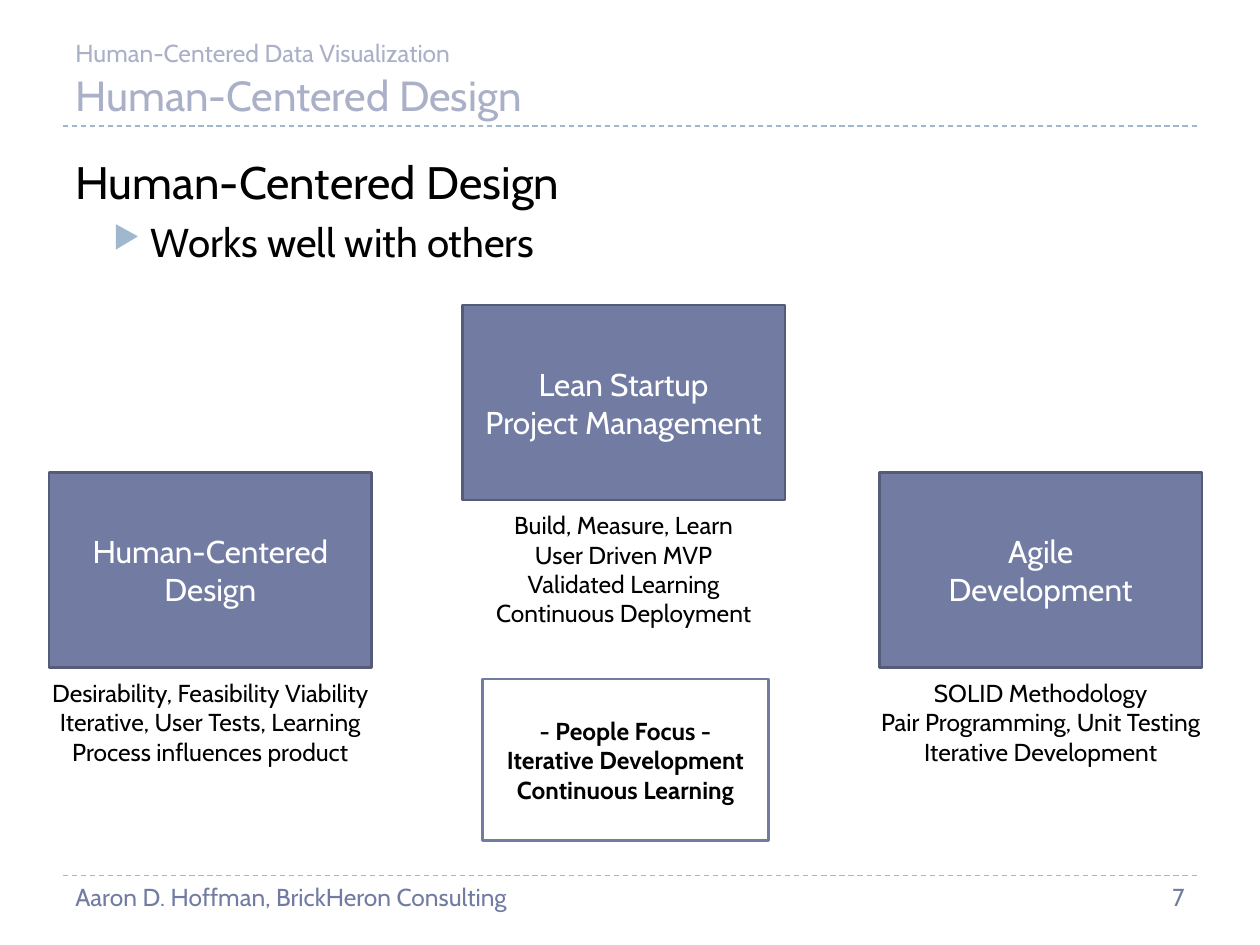
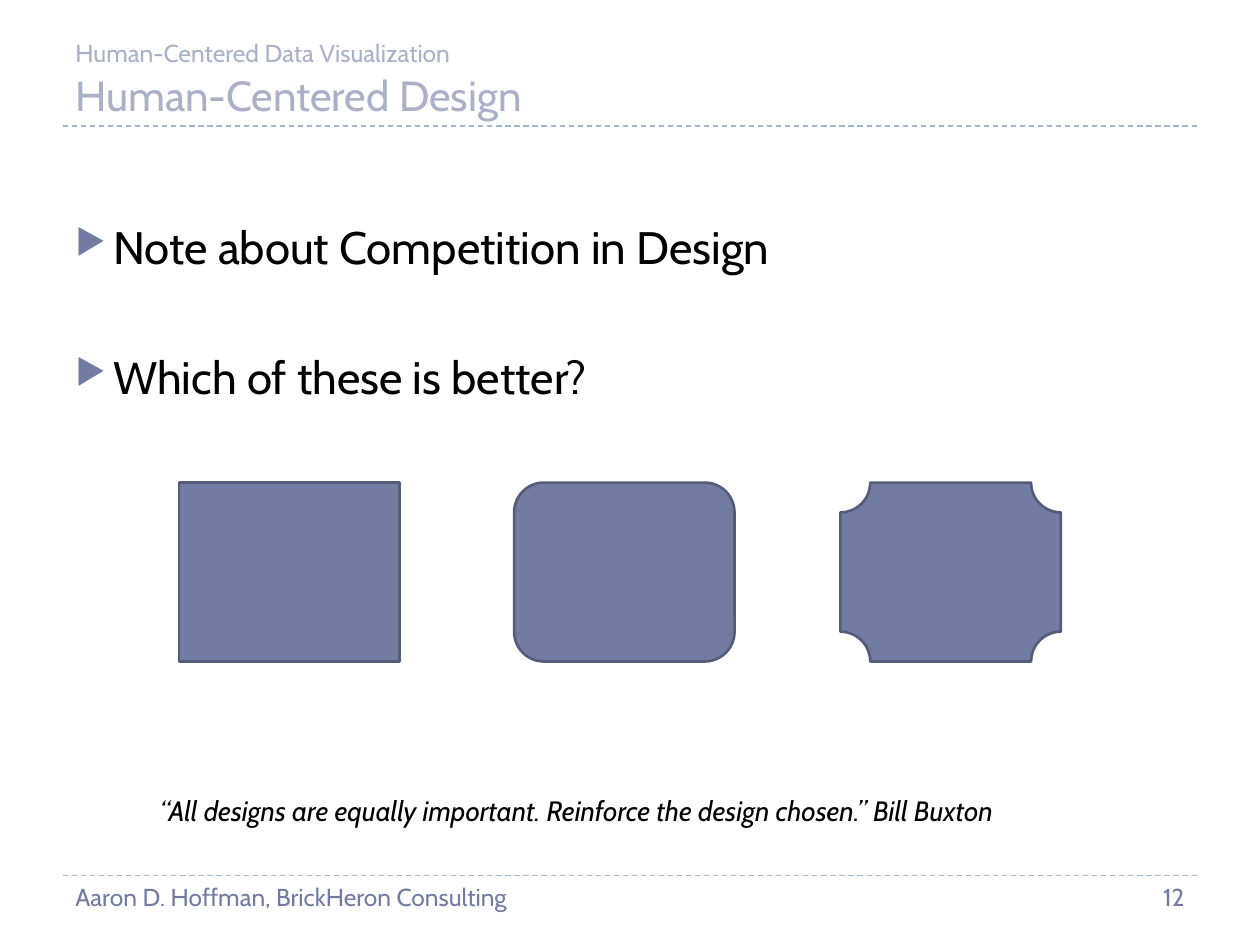
from dataclasses import dataclass

from lxml import etree
from pptx import Presentation
from pptx.dml.color import RGBColor
from pptx.enum.dml import MSO_LINE
from pptx.enum.shapes import MSO_CONNECTOR, MSO_SHAPE
from pptx.enum.text import MSO_ANCHOR, PP_ALIGN
from pptx.oxml.ns import qn
from pptx.util import Inches, Pt

LEFT, CENTER, RIGHT = PP_ALIGN.LEFT, PP_ALIGN.CENTER, PP_ALIGN.RIGHT
TOP, MIDDLE, BOTTOM = MSO_ANCHOR.TOP, MSO_ANCHOR.MIDDLE, MSO_ANCHOR.BOTTOM
RECTANGLE, ROUNDED, PLAQUE = MSO_SHAPE.RECTANGLE, MSO_SHAPE.ROUNDED_RECTANGLE, MSO_SHAPE.PLAQUE
STRAIGHT, DASH = MSO_CONNECTOR.STRAIGHT, MSO_LINE.DASH

FONT = "Cabin"
ACCENT, EDGE, RULE, HEADING = "727CA3", "545C79", "9FB8CD", "AAB0C8"
BLACK, WHITE = "000000", "FFFFFF"

# The slide is a grid of 40 columns by 30 rows of square cells
COLUMNS, ROWS, CELL = 40, 30, 0.25


@dataclass
class Box:
    left: float
    top: float
    width: float
    height: float

    def inner(self, left, top, width, height):
        return Box(self.left + left, self.top + top, width, height)

    def lengths(self):
        return [cells(n) for n in (self.left, self.top, self.width, self.height)]


PAGE = Box(0, 0, COLUMNS, ROWS)
HEADER = PAGE.inner(2, 1, 36, 3)
BODY = PAGE.inner(2, 4.68, 36, 22.28)
FOOTER = PAGE.inner(2, 27.8, 36, 1.6)


def cells(count):
    return Inches(count * CELL)


def color(code):
    return RGBColor.from_string(code)


def add_bullet(para, code, indent):
    """Give the paragraph a hanging triangle bullet; indent is in inches."""
    properties = para._p.get_or_add_pPr()
    properties.set("marL", str(Inches(indent)))
    properties.set("indent", str(Inches(-0.3)))
    bullet_color = etree.SubElement(properties, qn("a:buClr"))
    etree.SubElement(bullet_color, qn("a:srgbClr"), val=code)
    etree.SubElement(properties, qn("a:buSzPct"), val="76000")
    etree.SubElement(properties, qn("a:buChar"), char="▶")


def style(para, size, code, align=LEFT, bold=False, italic=False):
    para.alignment = align
    font = para.font
    font.name, font.size = FONT, Pt(size)
    font.bold, font.italic = bold, italic
    font.color.rgb = color(code)


def write(shape, lines, size, code, anchor=TOP, **look):
    frame = shape.text_frame
    frame.word_wrap = True
    frame.vertical_anchor = anchor
    frame.text = "\n".join(lines)
    for para in frame.paragraphs:
        style(para, size, code, **look)


def add_text(page, box, lines, size, code, **look):
    write(page.shapes.add_textbox(*box.lengths()), lines, size, code, **look)


def add_block(page, box, kind=RECTANGLE, fill=ACCENT, edge=EDGE):
    block = page.shapes.add_shape(kind, *box.lengths())
    block.shadow.inherit = False
    block.fill.solid()
    block.fill.fore_color.rgb = color(fill)
    block.line.color.rgb = color(edge)
    block.line.width = Pt(1.5)
    return block


def add_rule(page, box, row):
    y = cells(box.top + row)
    rule = page.shapes.add_connector(
        STRAIGHT, cells(box.left), y, cells(box.left + box.width), y)
    rule.line.color.rgb = color(RULE)
    rule.line.width = Pt(0.75)
    rule.line.dash_style = DASH
    etree.SubElement(rule._element.spPr, qn("a:effectLst"))


def add_frame(page, number):
    """Header and footer shared by every slide."""
    add_rule(page, FOOTER, 0)
    add_rule(page, HEADER, HEADER.height)
    add_text(page, HEADER.inner(0, 0, 36, 1), ["Human-Centered Data Visualization"], 14, HEADING)
    add_text(page, HEADER.inner(0, 1, 36, 2), ["Human-Centered Design"], 24, HEADING, anchor=BOTTOM)
    add_text(page, FOOTER.inner(0, 0, 25.32, 1.6),
             ["Aaron D. Hoffman, BrickHeron Consulting"], 14, ACCENT)
    add_text(page, FOOTER.inner(33, 0, 3, 1.6), [str(number)], 14, ACCENT, align=RIGHT)


def add_method(page, box, name, traits):
    """A labelled card with its traits listed underneath."""
    write(add_block(page, box), name, 18, WHITE, anchor=MIDDLE, align=CENTER)
    overhang = 0.88
    caption = box.inner(-overhang, box.height + 0.12, box.width + 2 * overhang, 4.16)
    add_text(page, caption, traits, 14, BLACK, align=CENTER)


def fill_methods(page, box):
    # Statement
    frame = page.shapes.add_textbox(*box.lengths()).text_frame
    frame.word_wrap = True
    frame.text = "Human-Centered Design"
    style(frame.paragraphs[0], 26, BLACK)
    point = frame.add_paragraph()
    point.text = "Works well with others"
    point.space_before = Pt(5)
    add_bullet(point, RULE, 0.6)
    style(point, 23, BLACK)

    # Three methods, the middle one raised
    methods = [
        (-0.44, 10.32, ["Human-Centered", "Design"],
         ["Desirability, Feasibility Viability", "Iterative, User Tests, Learning",
          "Process influences product"]),
        (12.68, 5, ["Lean Startup", "Project Management"],
         ["Build, Measure, Learn", "User Driven MVP", "Validated Learning",
          "Continuous Deployment"]),
        (25.92, 10.32, ["Agile", "Development"],
         ["SOLID Methodology", "Pair Programming, Unit Testing", "Iterative Development"]),
    ]
    for left, top, name, traits in methods:
        add_method(page, box.inner(left, top, 10.24, 6.2), name, traits)

    # What the methods share
    common = add_block(page, box.inner(13.32, 16.88, 9.08, 5.12), fill=WHITE, edge=ACCENT)
    write(common, ["- People Focus -", "Iterative Development", "Continuous Learning"],
          14, BLACK, anchor=MIDDLE, align=CENTER, bold=True)


def fill_competition(page, box):
    # Questions
    questions = page.shapes.add_textbox(*box.inner(0, 2.08, 36, 8).lengths())
    frame = questions.text_frame
    frame.word_wrap = True
    frame.text = "Note about Competition in Design\nWhich of these is better?"
    for para in frame.paragraphs:
        add_bullet(para, ACCENT, 0.3)
        style(para, 26, BLACK)
    frame.paragraphs[1].space_before = Pt(43)

    # Rival shapes
    for left, kind in ((3.68, RECTANGLE), (14.32, ROUNDED), (24.68, PLAQUE)):
        add_block(page, box.inner(left, 10.64, 7, 5.68), kind)

    # Quotation
    add_text(page, box.inner(2.68, 20.32, 29.68, 1.48),
             ["“All designs are equally important. Reinforce the design chosen.” Bill Buxton"],
             16, BLACK, italic=True)


def main():
    deck = Presentation()
    deck.slide_width, deck.slide_height = cells(COLUMNS), cells(ROWS)
    blank = deck.slide_layouts[6]
    for number, fill_body in ((7, fill_methods), (12, fill_competition)):
        page = deck.slides.add_slide(blank)
        add_frame(page, number)
        fill_body(page, BODY)
    deck.save("out.pptx")


if __name__ == "__main__":
    main()
